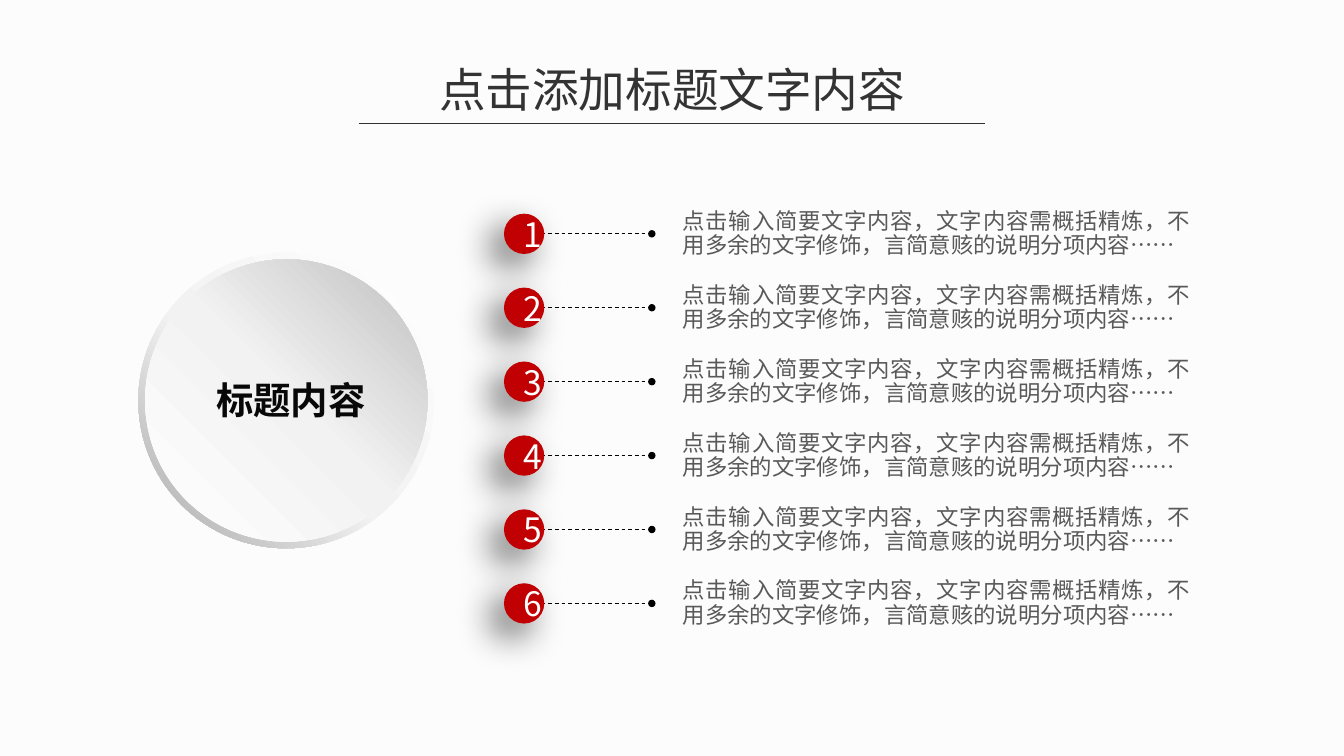
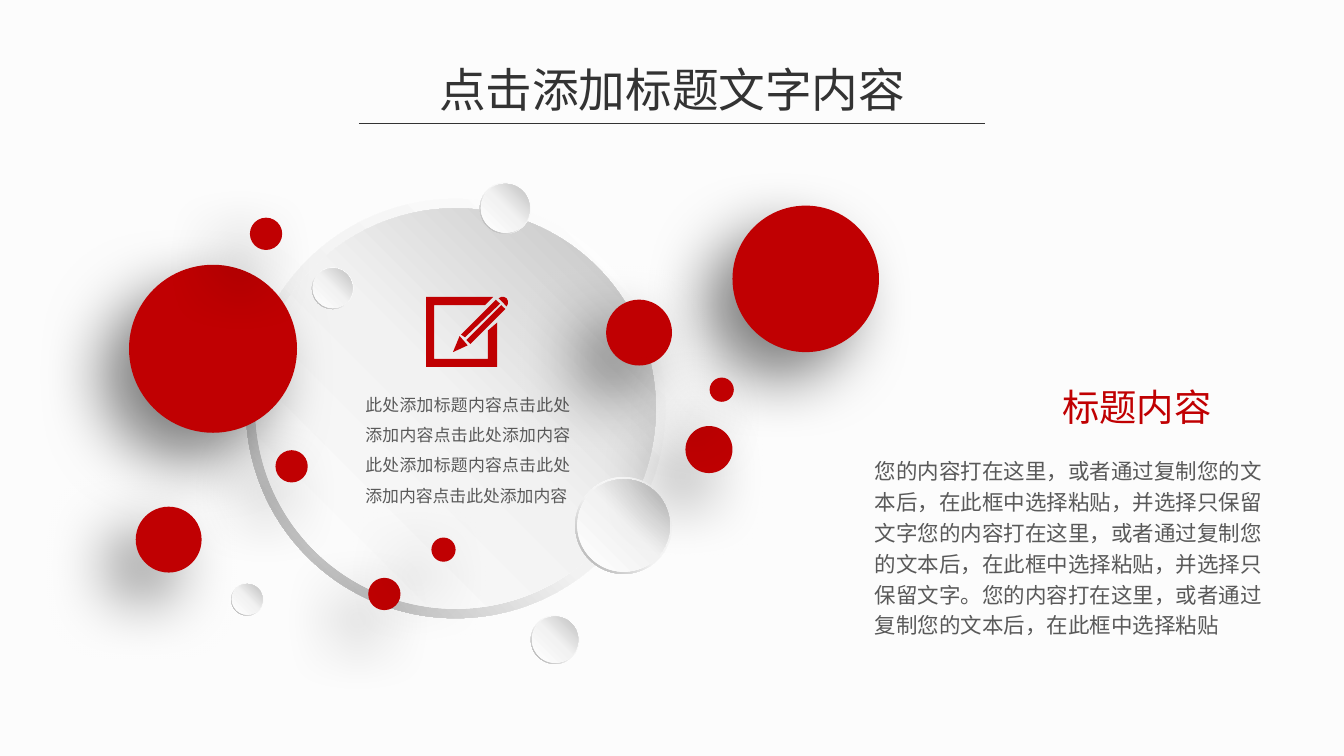
import pptx
import pptx.dml.color
import pptx.enum.dml
import pptx.enum.shapes
import pptx.enum.text
import pptx.oxml
import pptx.oxml.ns
import pptx.util

Inches = pptx.util.Inches
Pt = pptx.util.Pt
qn = pptx.oxml.ns.qn
rgb = pptx.dml.color.RGBColor.from_string
SHAPE = pptx.enum.shapes.MSO_SHAPE
ALIGN = pptx.enum.text.PP_ALIGN
STRAIGHT = pptx.enum.shapes.MSO_CONNECTOR.STRAIGHT

FONT = "Noto Sans CJK SC"
RED = "C00002"
DARK = "333333"
GREY = "595959"
BLACK = "000000"
RING_WIDTH = 0.049
INSET = 0.0225  # gap between an outer and an inner disc, as a share of the size
# Gradients: clockwise angle, then (position, colour) stops
RING = (135, [(0, "FFFFFF"), (55, "F2F2F2"), (100, "A6A6A6")])
DISC = (315, [(0, "FFFFFF"), (51, "F2F2F2"), (100, "BFBFBF")])


def write(shape, text, size, colour, align=ALIGN.CENTER, spacing=None, bold=None):
    frame = shape.text_frame
    frame.word_wrap = True
    paragraph = frame.paragraphs[0]
    paragraph.alignment = align
    paragraph.line_spacing = spacing
    run = paragraph.add_run()
    run.text = text
    run.font.size = Pt(size)
    run.font.name = FONT
    run.font.bold = bold
    run.font.color.rgb = rgb(colour)
    east_asian = pptx.oxml.parse_xml(
        f'<a:ea {pptx.oxml.ns.nsdecls("a")} typeface="{FONT}"/>')
    run.font._element.find(qn("a:latin")).addnext(east_asian)
    return frame


def add_round(slide, kind, left, top, size, paint, shadow=None):
    """Paint is a hex colour or a gradient; shadow is (opacity, blur, distance)."""
    shape = slide.shapes.add_shape(
        kind, Inches(left), Inches(top), Inches(size), Inches(size))
    shape.line.fill.background()
    shape.shadow.inherit = False
    properties = shape._element.spPr
    if isinstance(paint, str):
        shape.fill.solid()
        shape.fill.fore_color.rgb = rgb(paint)
    else:
        angle, stops = paint
        shape.fill.gradient()
        shape.fill.gradient_angle = 360 - angle
        stop_list = properties.find(".//" + qn("a:gsLst"))
        stop_list.clear()
        for position, colour in stops:
            stop_list.append(pptx.oxml.parse_xml(
                f'<a:gs {pptx.oxml.ns.nsdecls("a")} pos="{position * 1000}">'
                f'<a:srgbClr val="{colour}"/></a:gs>'))
    if kind == SHAPE.DONUT:
        shape.adjustments[0] = RING_WIDTH
    if shadow:
        opacity, blur, distance = shadow
        properties.find(qn("a:effectLst")).append(pptx.oxml.parse_xml(
            f'<a:outerShdw {pptx.oxml.ns.nsdecls("a")} blurRad="{Pt(blur)}" '
            f'dist="{Pt(distance)}" dir="{135 * 60000}" algn="tr" rotWithShape="0">'
            f'<a:srgbClr val="{BLACK}"><a:alpha val="{opacity * 1000}"/></a:srgbClr>'
            f'</a:outerShdw>'))
    return shape


presentation = pptx.Presentation()
presentation.slide_width = Inches(10)
presentation.slide_height = Inches(10 * 9 / 16)

# Shared background, title and title rule; pale ringed discs as (left, top, size)
pale_discs = [
    [(1.03, 1.88, 2.2)],
    [(1.83, 1.48, 3.12), (4.28, 3.55, 0.72), (2.32, 1.99, 0.31),
     (3.95, 4.58, 0.36), (3.57, 1.36, 0.38), (1.72, 4.34, 0.24)],
]
slides = []
for discs in pale_discs:
    slide = presentation.slides.add_slide(presentation.slide_layouts[6])
    slides.append(slide)
    slide.background.fill.solid()
    slide.background.fill.fore_color.rgb = rgb("FCFCFC")
    title = slide.shapes.add_textbox(Inches(3.15), Inches(0.4), Inches(3.7), Inches(0.52))
    write(title, "点击添加标题文字内容", 25, DARK)
    rule = slide.shapes.add_connector(
        STRAIGHT, Inches(2.67), Inches(0.92), Inches(7.33), Inches(0.92))
    rule.line.color.rgb = rgb(DARK)
    rule.line.width = Pt(0.75)
    rule._element.spPr.append(pptx.oxml.parse_xml(
        f'<a:effectLst {pptx.oxml.ns.nsdecls("a")}/>'))
    for left, top, size in discs:
        gap = size * INSET
        add_round(slide, SHAPE.DONUT, left, top, size, RING)
        add_round(slide, SHAPE.OVAL, left + gap, top + gap, size - 2 * gap, DISC)

list_slide, bubble_slide = slides

# Numbered list: text, dashed leader, red number
for index in range(6):
    offset = 0.55 * index
    item = list_slide.shapes.add_textbox(
        Inches(5.08), Inches(1.56 + offset), Inches(3.78), Inches(0.36))
    frame = write(
        item, "点击输入简要文字内容，文字内容需概括精炼，不用多余的文字修饰，言简意赅的说明分项内容……",
        12, GREY, ALIGN.JUSTIFY, Pt(13))
    frame.margin_left = frame.margin_right = frame.margin_top = frame.margin_bottom = 0

    leader_top = Inches(1.74 + offset)
    leader = list_slide.shapes.add_connector(
        STRAIGHT, Inches(3.98), leader_top, Inches(4.85), leader_top)
    leader.line.color.rgb = rgb(BLACK)
    leader.line.width = Pt(0.5)
    leader.line.dash_style = pptx.enum.dml.MSO_LINE.DASH
    leader_properties = leader._element.spPr
    leader_properties.find(qn("a:ln")).append(pptx.oxml.parse_xml(
        f'<a:tailEnd {pptx.oxml.ns.nsdecls("a")} type="oval" w="sm" len="sm"/>'))
    leader_properties.append(pptx.oxml.parse_xml(
        f'<a:effectLst {pptx.oxml.ns.nsdecls("a")}/>'))

    number = add_round(list_slide, SHAPE.OVAL, 3.75, 1.59 + offset, 0.3, RED, (60, 20, 10))
    write(number, str(index + 1), 18, "FFFFFF")

# Label of the large disc
label = list_slide.shapes.add_textbox(Inches(1.4), Inches(2.81), Inches(1.53), Inches(0.34))
frame = write(label, "标题内容", 20, "080808", bold=True)
frame.margin_left = frame.margin_right = frame.margin_top = frame.margin_bottom = 0

# Pencil and paper icon, in hundredths of an inch
icon_outlines = [
    # Tip
    [(348, 257), (342, 250), (337, 262)],
    # Two halves of the shaft
    [(369, 223), (343, 249), (346, 251), (372, 226)],
    [(347, 253), (350, 256), (376, 230), (373, 227)],
    # Rounded end
    [(371, 222), (373, 221), (375, 221), (377, 222), (378, 224), (378, 226), (377, 228)],
    # Paper
    [(363, 267), (323, 267), (323, 227), (361, 227), (367, 221), (317, 221),
     (317, 273), (370, 273), (370, 240), (363, 246)],
]
for points in icon_outlines:
    builder = bubble_slide.shapes.build_freeform(*points[0], scale=Inches(0.01))
    builder.add_line_segments(points[1:], close=True)
    shape = builder.convert_to_shape()
    shape.fill.solid()
    shape.fill.fore_color.rgb = rgb(RED)
    shape.line.fill.background()
    shape.shadow.inherit = False

# Text inside the disc, heading and body
caption = bubble_slide.shapes.add_textbox(
    Inches(2.62), Inches(2.81), Inches(1.72), Inches(1.01))
write(caption, "此处添加标题内容点击此处添加内容点击此处添加内容" * 2,
      9, GREY, ALIGN.JUSTIFY, 1.5)
heading = bubble_slide.shapes.add_textbox(
    Inches(6.96), Inches(2.81), Inches(3), Inches(0.44))
write(heading, "标题内容", 20, RED)
body = bubble_slide.shapes.add_textbox(
    Inches(6.44), Inches(3.33), Inches(3.06), Inches(1.47))
frame = write(
    body, "您的内容打在这里，或者通过复制您的文本后，在此框中选择粘贴，并选择只保留文字"
    "您的内容打在这里，或者通过复制您的文本后，在此框中选择粘贴，并选择只保留文字。"
    "您的内容打在这里，或者通过复制您的文本后，在此框中选择粘贴",
    11.5, GREY, ALIGN.LEFT, 1.2)
frame.margin_left = frame.margin_right = Inches(0.07)
frame.margin_top = frame.margin_bottom = Inches(0.04)

# Red bubbles: left, top, size
bubbles = [
    (5.45, 1.53, 1.09), (0.96, 1.97, 1.25), (1.01, 3.77, 0.49), (2.05, 3.35, 0.24),
    (1.86, 1.62, 0.24), (2.74, 4.3, 0.24), (3.21, 4, 0.18), (4.51, 2.23, 0.49),
    (5.1, 3.17, 0.35), (5.28, 2.81, 0.18),
]
for left, top, size in bubbles:
    gap = size * INSET
    add_round(bubble_slide, SHAPE.OVAL, left, top, size, RED, (50, 35, 20))
    add_round(bubble_slide, SHAPE.OVAL, left + gap, top + gap, size - 2 * gap, RED)

presentation.save("out.pptx")
